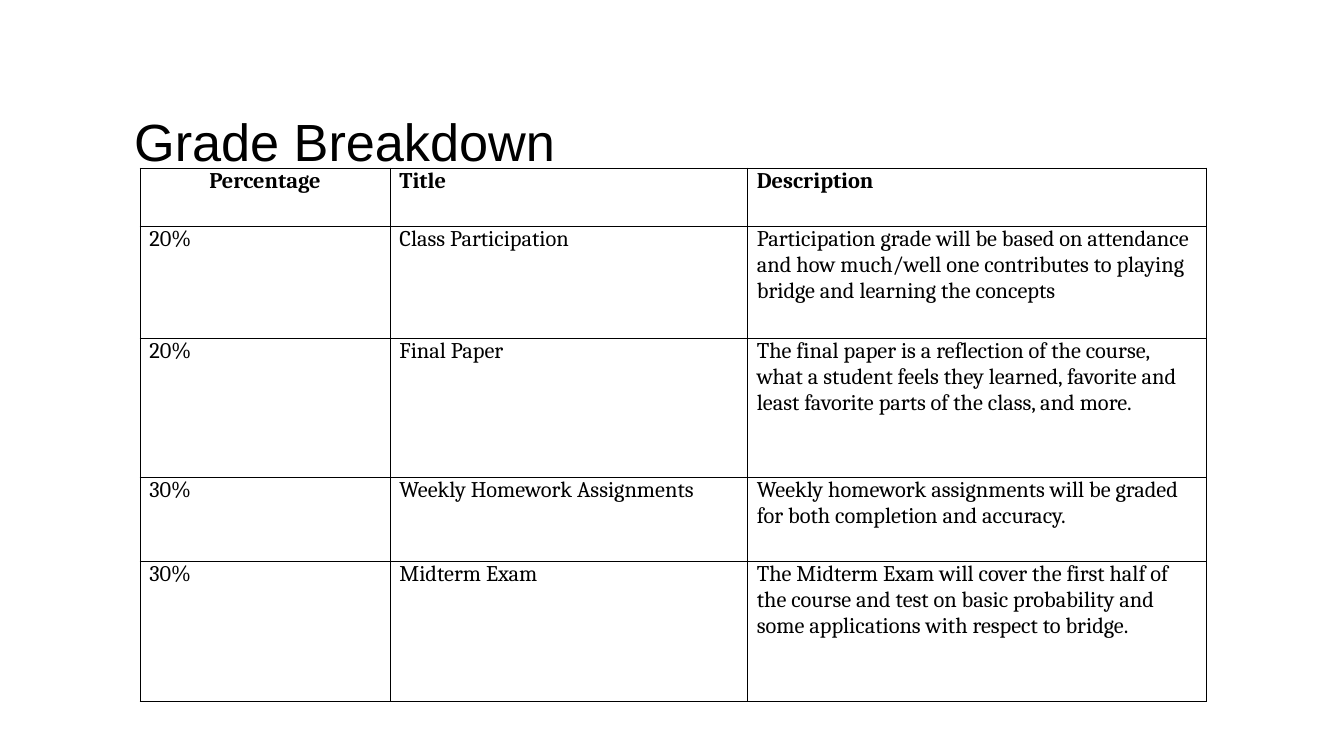
import pptx
import pptx.util
import pptx.dml.color
import pptx.enum.text
import pptx.oxml.ns
import lxml.etree

Pt = pptx.util.Pt
COLOURS = {"ink": "000000"}
COLUMN_WIDTHS = [134, 191.5, 246]
ROW_HEIGHTS = [31.3, 60, 74.7, 45, 75]
GRADES = [
    ("Percentage", "Title", "Description"),
    ("20%", "Class Participation",
     "Participation grade will be based on attendance and how much/well one "
     "contributes to playing bridge and learning the concepts"),
    ("20%", "Final Paper",
     "The final paper is a reflection of the course, what a student feels they "
     "learned, favorite and least favorite parts of the class, and more."),
    ("30%", "Weekly Homework Assignments",
     "Weekly homework assignments will be graded for both completion and accuracy."),
    ("30%", "Midterm Exam",
     "The Midterm Exam will cover the first half of the course and test on basic "
     "probability and some applications with respect to bridge."),
]


def style_text(paragraph, font_name, size, bold=False):
    for run in paragraph.runs:
        run.font.name = font_name
        run.font.size = Pt(size)
        run.font.bold = bold
        run.font.color.rgb = pptx.dml.color.RGBColor.from_string(COLOURS["ink"])


def add_borders(cell, width):
    properties = cell._tc.get_or_add_tcPr()
    qn = pptx.oxml.ns.qn
    for position, side in enumerate(("a:lnL", "a:lnR", "a:lnT", "a:lnB")):
        border = lxml.etree.Element(qn(side), w=str(Pt(width)))
        fill = lxml.etree.SubElement(border, qn("a:solidFill"))
        lxml.etree.SubElement(fill, qn("a:srgbClr"), val=COLOURS["ink"])
        properties.insert(position, border)


def add_heading(slide, left, top, width, height):
    heading = slide.shapes.add_textbox(Pt(left), Pt(top), Pt(width), Pt(height))
    frame = heading.text_frame
    frame.word_wrap = True
    frame.margin_left = frame.margin_right = frame.margin_bottom = Pt(7.2)
    frame.margin_top = Pt(9.5)
    frame.text = "Grade Breakdown"
    style_text(frame.paragraphs[0], "Arial", 28)


def add_grade_table(slide, left, top):
    grade_table = slide.shapes.add_table(
        len(GRADES), len(COLUMN_WIDTHS), Pt(left), Pt(top),
        Pt(sum(COLUMN_WIDTHS)), Pt(sum(ROW_HEIGHTS))).table
    grade_table.first_row = False
    grade_table.horz_banding = False
    for column, width in zip(grade_table.columns, COLUMN_WIDTHS):
        column.width = Pt(width)
    for row_index, (row, height) in enumerate(zip(grade_table.rows, ROW_HEIGHTS)):
        row.height = Pt(height)
        for cell, wording in zip(row.cells, GRADES[row_index]):
            cell.margin_left = cell.margin_right = Pt(5)
            cell.margin_top = cell.margin_bottom = Pt(0)
            cell.fill.background()
            add_borders(cell, 0.5)
            cell.text_frame.text = wording
            style_text(cell.text_frame.paragraphs[0], "Cambria", 12, row_index == 0)
    percentage_header = grade_table.cell(0, 0).text_frame.paragraphs[0]
    percentage_header.alignment = pptx.enum.text.PP_ALIGN.CENTER


def main():
    presentation = pptx.Presentation()
    presentation.slide_width = Pt(720)
    presentation.slide_height = Pt(405)
    slide = presentation.slides.add_slide(presentation.slide_layouts[6])
    add_heading(slide, 64.8, 49, 591, 75)
    add_grade_table(slide, 75, 90)
    presentation.save("out.pptx")


if __name__ == "__main__":
    main()
